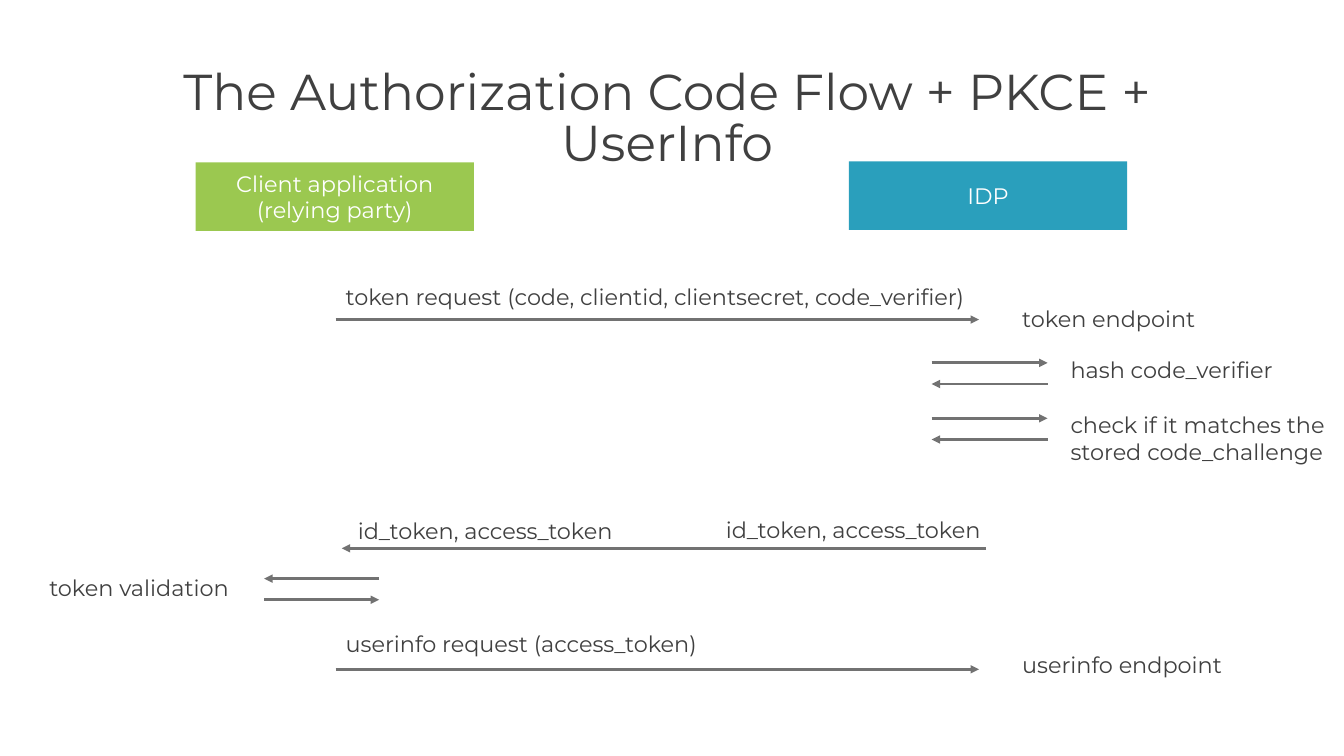
from dataclasses import dataclass

from lxml import etree
from pptx import Presentation
from pptx import util as u
from pptx.dml.color import RGBColor
from pptx.enum import shapes, text
from pptx.oxml import ns


@dataclass(frozen=True)
class Theme:
    font: str = "Montserrat"
    ink: str = "404040"
    line: str = "727272"
    light: str = "FFFFFF"
    client: str = "9BC850"
    idp: str = "2A9FBC"
    title_size: int = 36
    body_size: int = 16
    line_width: int = 2


THEME = Theme()
WIDTH, HEIGHT = 13.33, 7.5
EDGE = WIDTH - 0.01
LABEL_HEIGHT = 0.37

TITLE = "The Authorization Code Flow + PKCE + UserInfo"
PARTIES = [
    ("Client application (relying party)", 1.94, 1.61, THEME.client),
    ("IDP", 8.42, 1.6, THEME.idp),
]
PARTY_SIZE = (2.76, 0.68)

CLIENT_LANE, IDP_LANE = 3.33, 9.71
ENDPOINT_LEFT, CHECK_LEFT = 10.04, 10.52
REQUESTS = [
    ("token request (code, clientid, clientsecret, code_verifier)", 2.76, 3.17, "token endpoint", 2.98),
    ("userinfo request (access_token)", 6.2, 6.64, "userinfo endpoint", 6.41),
]
RESPONSE = ("id_token, access_token", 5.44, 3.39, 9.78)
RESPONSE_LABELS = [(3.45, 5.08), (7.1, 5.07)]

LOOP_GAP = 0.21
IDP_LOOP, CLIENT_LOOP = (9.24, 10.39), (3.76, 2.62)
IDP_CHECKS = [
    ("hash code_verifier", 3.6, 1),
    ("check if it matches the stored code_challenge", 4.15, 2),
]
VALIDATION = ("token validation", 0.39, 5.65, 5.74)


def inches(*values):
    return [u.Inches(value) for value in values]


def write(box, words, size=THEME.body_size, color=THEME.ink, align=text.PP_ALIGN.LEFT,
          anchor=text.MSO_ANCHOR.TOP, insets=(0.1, 0.05, 0.1, 0.05), spacing=None):
    frame = box.text_frame
    frame.word_wrap = True
    frame.vertical_anchor = anchor
    frame.margin_left, frame.margin_top, frame.margin_right, frame.margin_bottom = inches(*insets)
    para = frame.paragraphs[0]
    para.alignment = align
    para.line_spacing = spacing
    span = para.add_run()
    span.text = words
    span.font.name = THEME.font
    span.font.size = u.Pt(size)
    span.font.color.rgb = RGBColor.from_string(color)


def add_label(page, words, left, top, width, height=LABEL_HEIGHT, **style):
    write(page.shapes.add_textbox(*inches(left, top, width, height)), words, **style)


def add_party(page, words, left, top, color):
    box = page.shapes.add_shape(shapes.MSO_SHAPE.RECTANGLE, *inches(left, top, *PARTY_SIZE))
    box.shadow.inherit = False
    box.fill.solid()
    box.fill.fore_color.rgb = RGBColor.from_string(color)
    box.line.fill.background()
    write(box, words, color=THEME.light, align=text.PP_ALIGN.CENTER,
          anchor=text.MSO_ANCHOR.MIDDLE, insets=(0.2,) * 4)


def add_arrow(page, start, end, level):
    arrow = page.shapes.add_connector(shapes.MSO_CONNECTOR.STRAIGHT, *inches(start, level, end, level))
    arrow.line.width = u.Pt(THEME.line_width)
    arrow.line.color.rgb = RGBColor.from_string(THEME.line)
    etree.SubElement(arrow.line._get_or_add_ln(), ns.qn("a:tailEnd"), type="triangle")
    etree.SubElement(arrow._element.spPr, ns.qn("a:effectLst"))


def add_loop(page, start, end, level):
    add_arrow(page, start, end, level)
    add_arrow(page, end, start, level + LOOP_GAP)


def main():
    deck = Presentation()
    deck.slide_width, deck.slide_height = inches(WIDTH, HEIGHT)
    page = deck.slides.add_slide(deck.slide_layouts[6])

    for party in PARTIES:
        add_party(page, *party)

    for request, request_top, level, endpoint, endpoint_top in REQUESTS:
        add_arrow(page, CLIENT_LANE, IDP_LANE, level)
        add_label(page, request, CLIENT_LANE, request_top, 6.52)
        add_label(page, endpoint, ENDPOINT_LEFT, endpoint_top, EDGE - ENDPOINT_LEFT)

    for words, level, lines in IDP_CHECKS:
        add_loop(page, *IDP_LOOP, level)
        add_label(page, words, CHECK_LEFT, level - 0.12, EDGE - CHECK_LEFT,
                  LABEL_HEIGHT + 0.27 * (lines - 1))

    words, level, arrival, departure = RESPONSE
    add_arrow(page, departure, arrival, level)
    for left, top in RESPONSE_LABELS:
        add_label(page, words, left, top, 3.45)

    words, left, top, level = VALIDATION
    add_loop(page, *CLIENT_LOOP, level)
    add_label(page, words, left, top, 2.22)

    add_label(page, TITLE, 0.77, 0.64, 11.79, 0.48, size=THEME.title_size,
              align=text.PP_ALIGN.CENTER, insets=(0, 0.05, 0.1, 0.05), spacing=0.85)

    deck.save("out.pptx")


if __name__ == "__main__":
    main()
